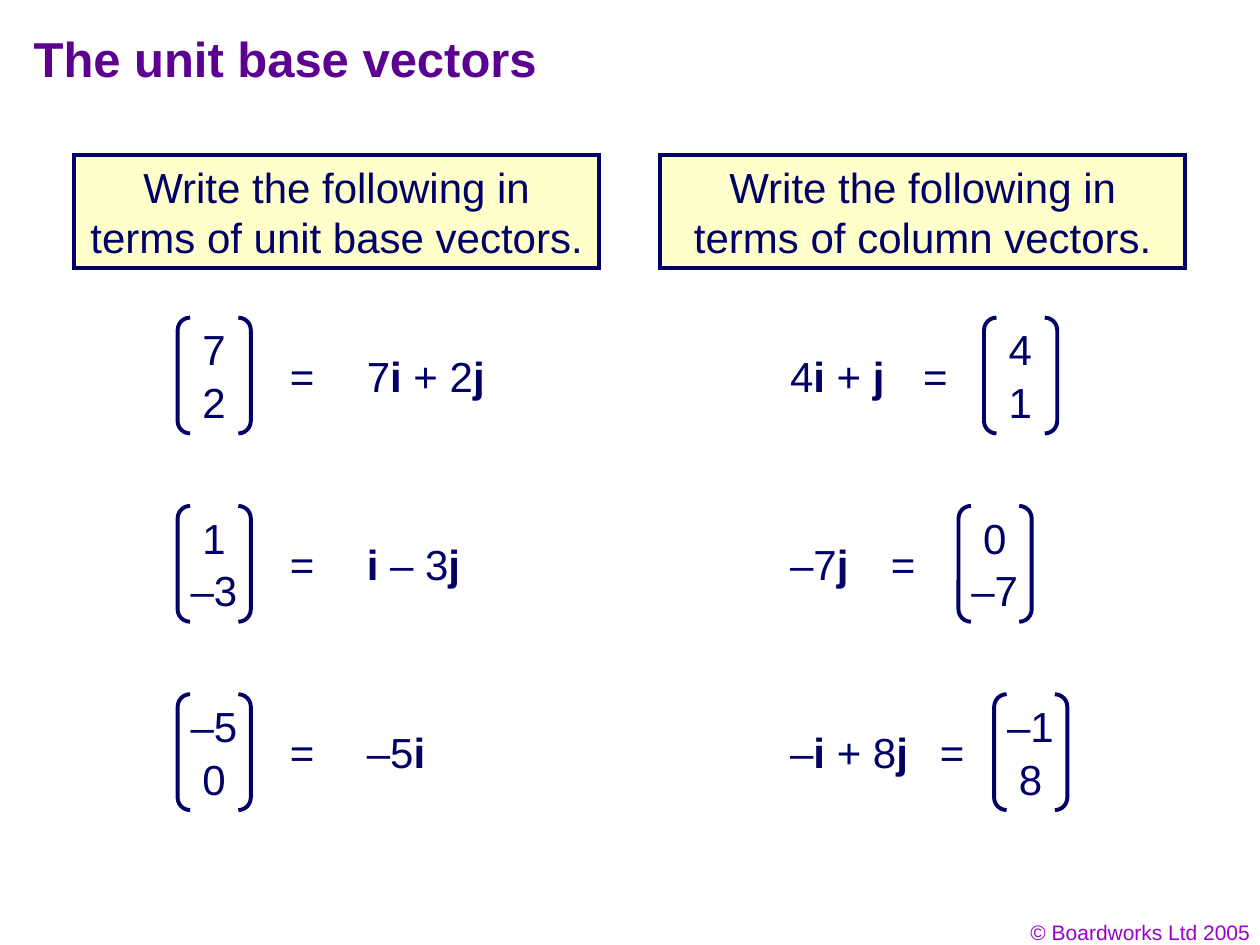
import lxml.etree
import pptx
import pptx.dml.color
import pptx.enum.shapes
import pptx.enum.text
import pptx.oxml.ns
import pptx.util

Pt = pptx.util.Pt
ALIGN = pptx.enum.text.PP_ALIGN
AUTO_SIZE = pptx.enum.text.MSO_AUTO_SIZE
SHAPE = pptx.enum.shapes.MSO_SHAPE

COLOURS = {
    "text": "010066",
    "line": "000066",
    "panel": "FFFFCC",
    "title": "5B0091",
    "copyright": "9900CC",
}

# Rows of vectors, in points
FIRST_ROW, ROW_STEP = 181.5, 107.6
BRACKET_WIDTH, BRACKET_HEIGHT = 41.8, 66.2
COMPONENT_STEP = 30.2
EXPRESSION_DROP = 15.1
TEXT_HEIGHT = 36.3


def colour(name):
    return pptx.dml.color.RGBColor.from_string(COLOURS[name])


def write(frame, text, size=24, ink="text", bold=False, align=ALIGN.LEFT,
          wrap=True):
    """Write text in a frame; parts between asterisks turn bold."""
    frame.word_wrap = wrap
    if not wrap:
        frame.auto_size = AUTO_SIZE.SHAPE_TO_FIT_TEXT
    paragraph = frame.paragraphs[0]
    paragraph.alignment = align
    for index, part in enumerate(text.split("*")):
        if part:
            run = paragraph.add_run()
            run.text = part
            run.font.name = "Arial"
            run.font.size = Pt(size)
            run.font.bold = bold or index % 2 == 1
            run.font.color.rgb = colour(ink)


def add_text(slide, text, left, top, width, height=TEXT_HEIGHT, **style):
    box = slide.shapes.add_textbox(Pt(left), Pt(top), Pt(width), Pt(height))
    write(box.text_frame, text, **style)


def add_outlined(slide, kind, left, top, width, height):
    shape = slide.shapes.add_shape(kind, Pt(left), Pt(top), Pt(width), Pt(height))
    shape.shadow.inherit = False
    shape.fill.background()
    shape.line.color.rgb = colour("line")
    shape.line.width = Pt(2.25)
    # Sharp corners
    outline = shape.element.spPr.find(pptx.oxml.ns.qn("a:ln"))
    lxml.etree.SubElement(outline, pptx.oxml.ns.qn("a:miter"), lim="800000")
    return shape


def add_instruction(slide, text, left):
    panel = add_outlined(slide, SHAPE.RECTANGLE, left, 88.6, 300.2, 64.8)
    panel.fill.solid()
    panel.fill.fore_color.rgb = colour("panel")
    write(panel.text_frame, text, align=ALIGN.CENTER)


def add_column_vector(slide, components, left, top):
    bracket = add_outlined(slide, SHAPE.DOUBLE_BRACKET, left, top,
                           BRACKET_WIDTH, BRACKET_HEIGHT)
    bracket.adjustments[0] = 0.17
    for index, component in enumerate(components):
        width = 27.8 if len(component) == 1 else 41.2
        add_text(slide, component, left + (BRACKET_WIDTH - width) / 2,
                 top + index * COMPONENT_STEP, width, wrap=False)


def add_equation(slide, row, components, vector_left, equals_left,
                 expression, expression_left, expression_width):
    top = FIRST_ROW + row * ROW_STEP
    middle = top + EXPRESSION_DROP
    add_column_vector(slide, components, vector_left, top)
    add_text(slide, "=", equals_left, middle, 28.4, wrap=False)
    add_text(slide, expression, expression_left, middle, expression_width,
             wrap=False)


def main():
    deck = pptx.Presentation()
    deck.slide_width, deck.slide_height = Pt(720), Pt(540)
    slide = deck.slides.add_slide(deck.slide_layouts[6])

    # Title and copyright line
    add_text(slide, "The unit base vectors", 12.2, 12.5, 612, 48, size=28,
             ink="title", bold=True)
    add_text(slide, "© Boardworks Ltd 2005", 553.7, 522, 167.8, 21.6, size=12,
             ink="copyright", align=ALIGN.RIGHT)

    # Instructions
    add_instruction(slide, "Write the following in terms of unit base vectors.", 42.3)
    add_instruction(slide, "Write the following in terms of column vectors.", 377.2)

    # Left half: column vector = unit base vectors
    to_base = [
        (("7", "2"), "7*i* + 2*j*", 82),
        (("1", "–3"), "*i* – 3*j*", 68.4),
        (("–5", "0"), "–5*i*", 48),
    ]
    for row, (components, expression, width) in enumerate(to_base):
        add_equation(slide, row, components, 101.5, 158.6, expression, 202.5, width)

    # Right half: unit base vectors = column vector
    to_column = [
        ("4*i* + *j*", 69, 520.4, ("4", "1"), 562.3),
        ("–7*j*", 48, 502, ("0", "–7"), 547.7),
        ("–*i *+ 8*j*", 82, 530, ("–1", "8"), 568.1),
    ]
    for row, (expression, width, equals, components, left) in enumerate(to_column):
        add_equation(slide, row, components, left, equals, expression, 444.4, width)

    deck.save("out.pptx")


if __name__ == "__main__":
    main()
